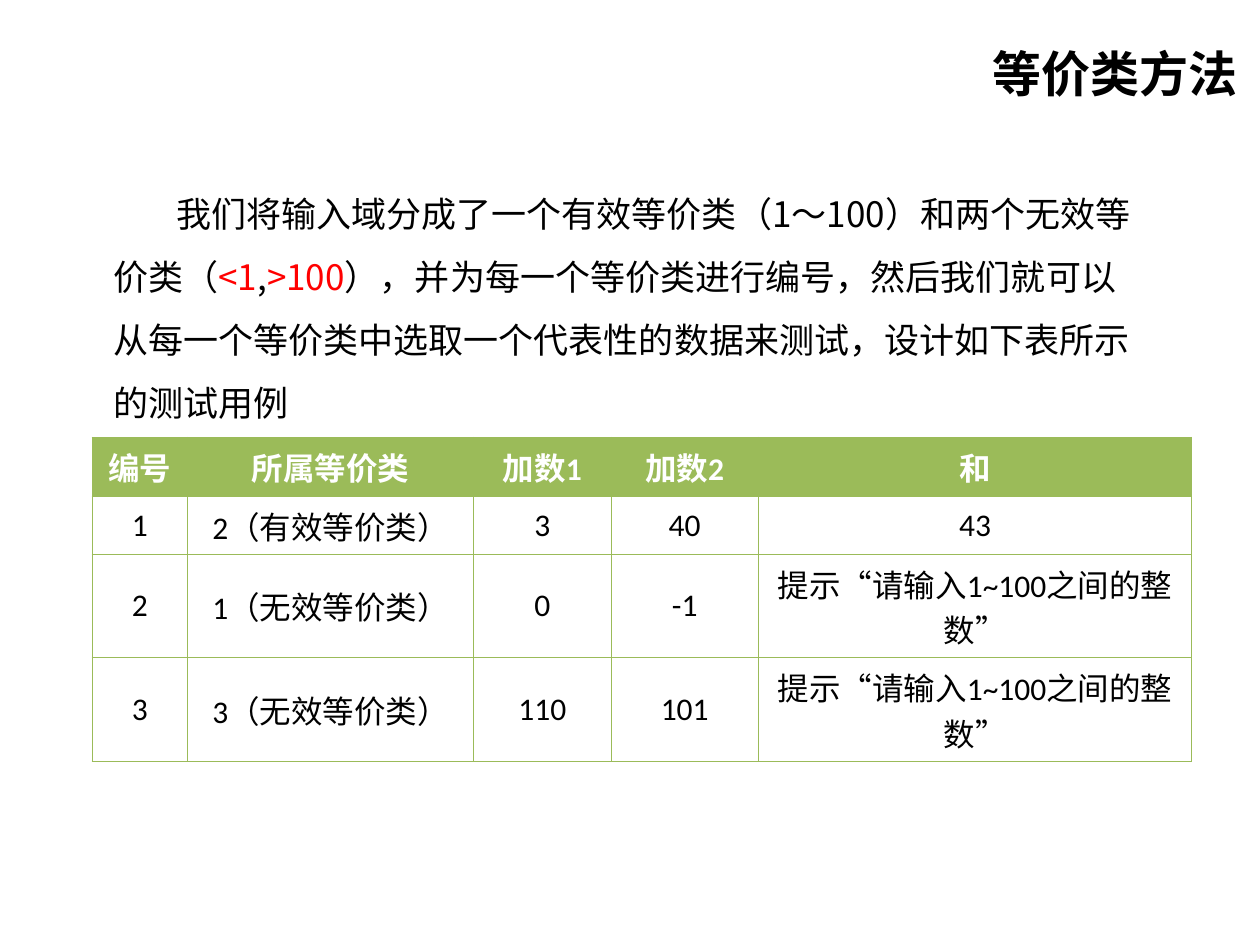
from collections import namedtuple

from lxml import etree
from pptx import Presentation
from pptx import util as u
from pptx.dml.color import RGBColor
from pptx.enum import text
from pptx.oxml.ns import qn

COLORS = {"black": "000000", "white": "FFFFFF", "red": "FF0000", "green": "9BBB59"}
CJK_FONT = "Noto Sans CJK SC"
TABLE_FONT = "Calibri"
SLIDE_WIDTH, SLIDE_HEIGHT = u.Inches(10), u.Inches(7.5)
COLUMN, ROW = SLIDE_WIDTH / 10, SLIDE_HEIGHT / 7.5

Box = namedtuple("Box", "left top width height")

BODY_RUNS = [
    ("我们将输入域分成了一个有效等价类（1～100）和两个无效等价类（", "black"),
    ("<1", "red"),
    (",", "black"),
    (">100", "red"),
    ("），并为每一个等价类进行编号，然后我们就可以从每一个等价类中选取"
     "一个代表性的数据来测试，设计如下表所示的测试用例", "black"),
]
PROMPT = "提示“请输入1~100之间的整数”"
TEST_CASES = [
    ["编号", "所属等价类", "加数1", "加数2", "和"],
    ["1", "2（有效等价类）", "3", "40", "43"],
    ["2", "1（无效等价类）", "0", "-1", PROMPT],
    ["3", "3（无效等价类）", "110", "101", PROMPT],
]
COLUMN_WIDTHS = [0.76, 2.27, 1.09, 1.17, 3.44]
ROW_HEIGHTS = [0.47, 0.46, 0.82, 0.82]


def grid_box(left, top, width, height):
    return Box(int(left * COLUMN), int(top * ROW), int(width * COLUMN), int(height * ROW))


def rgb(name):
    return RGBColor.from_string(COLORS[name])


def set_font(paragraph, name, size, color, bold=False):
    font = paragraph.font
    font.name, font.size, font.bold = name, u.Pt(size), bold
    font.color.rgb = rgb(color)
    defaults = paragraph._p.pPr.find(qn("a:defRPr"))
    etree.SubElement(defaults, qn("a:ea")).set("typeface", CJK_FONT)


def add_text_frame(slide, box):
    frame = slide.shapes.add_textbox(*box).text_frame
    frame.word_wrap = True
    return frame


def add_title(slide, box):
    frame = add_text_frame(slide, box)
    frame.vertical_anchor = text.MSO_ANCHOR.MIDDLE
    paragraph = frame.paragraphs[0]
    paragraph.text = "等价类方法"
    paragraph.alignment = text.PP_ALIGN.RIGHT
    set_font(paragraph, CJK_FONT, 28, "black", bold=True)


def add_body(slide, box):
    frame = add_text_frame(slide, box)
    paragraph = frame.paragraphs[0]
    paragraph.line_spacing = u.Pt(36)
    properties = paragraph._p.get_or_add_pPr()
    properties.set("marL", str(int(1.1 * COLUMN)))
    properties.set("indent", str(int(0.5 * COLUMN)))
    set_font(paragraph, CJK_FONT, 20, "black")
    for words, color in BODY_RUNS:
        run = paragraph.add_run()
        run.text = words
        run.font.color.rgb = rgb(color)


def set_borders(cell, color):
    properties = cell._tc.get_or_add_tcPr()
    for position, side in enumerate(("lnL", "lnR", "lnT", "lnB")):
        line = etree.Element(qn(f"a:{side}"), w=str(u.Pt(0.45)))
        fill = etree.SubElement(line, qn("a:solidFill"))
        etree.SubElement(fill, qn("a:srgbClr"), val=COLORS[color])
        properties.insert(position, line)


def fill_cell(cell, words, is_header):
    cell.text = words
    cell.vertical_anchor = text.MSO_ANCHOR.MIDDLE
    if is_header:
        cell.fill.solid()
        cell.fill.fore_color.rgb = rgb("green")
    else:
        cell.fill.background()
    set_borders(cell, "green")
    paragraph = cell.text_frame.paragraphs[0]
    paragraph.alignment = text.PP_ALIGN.CENTER
    set_font(paragraph, TABLE_FONT, 18, "white" if is_header else "black", bold=is_header)


def add_test_cases(slide, box):
    table = slide.shapes.add_table(len(TEST_CASES), len(COLUMN_WIDTHS), *box).table
    table.horz_banding = False
    for column, share in zip(table.columns, COLUMN_WIDTHS):
        column.width = int(box.width * share / sum(COLUMN_WIDTHS))
    for row, share in zip(table.rows, ROW_HEIGHTS):
        row.height = int(box.height * share / sum(ROW_HEIGHTS))
    for row_index, values in enumerate(TEST_CASES):
        for column_index, words in enumerate(values):
            fill_cell(table.cell(row_index, column_index), words, row_index == 0)


def main():
    presentation = Presentation()
    presentation.slide_width, presentation.slide_height = SLIDE_WIDTH, SLIDE_HEIGHT
    slide = presentation.slides.add_slide(presentation.slide_layouts[6])
    add_title(slide, grid_box(0.92, -0.05, 9, 1.25))
    add_body(slide, grid_box(-0.3, 1.31, 9.43, 4.95))
    add_test_cases(slide, grid_box(0.73, 3.47, 8.73, sum(ROW_HEIGHTS)))
    presentation.save("out.pptx")


if __name__ == "__main__":
    main()
